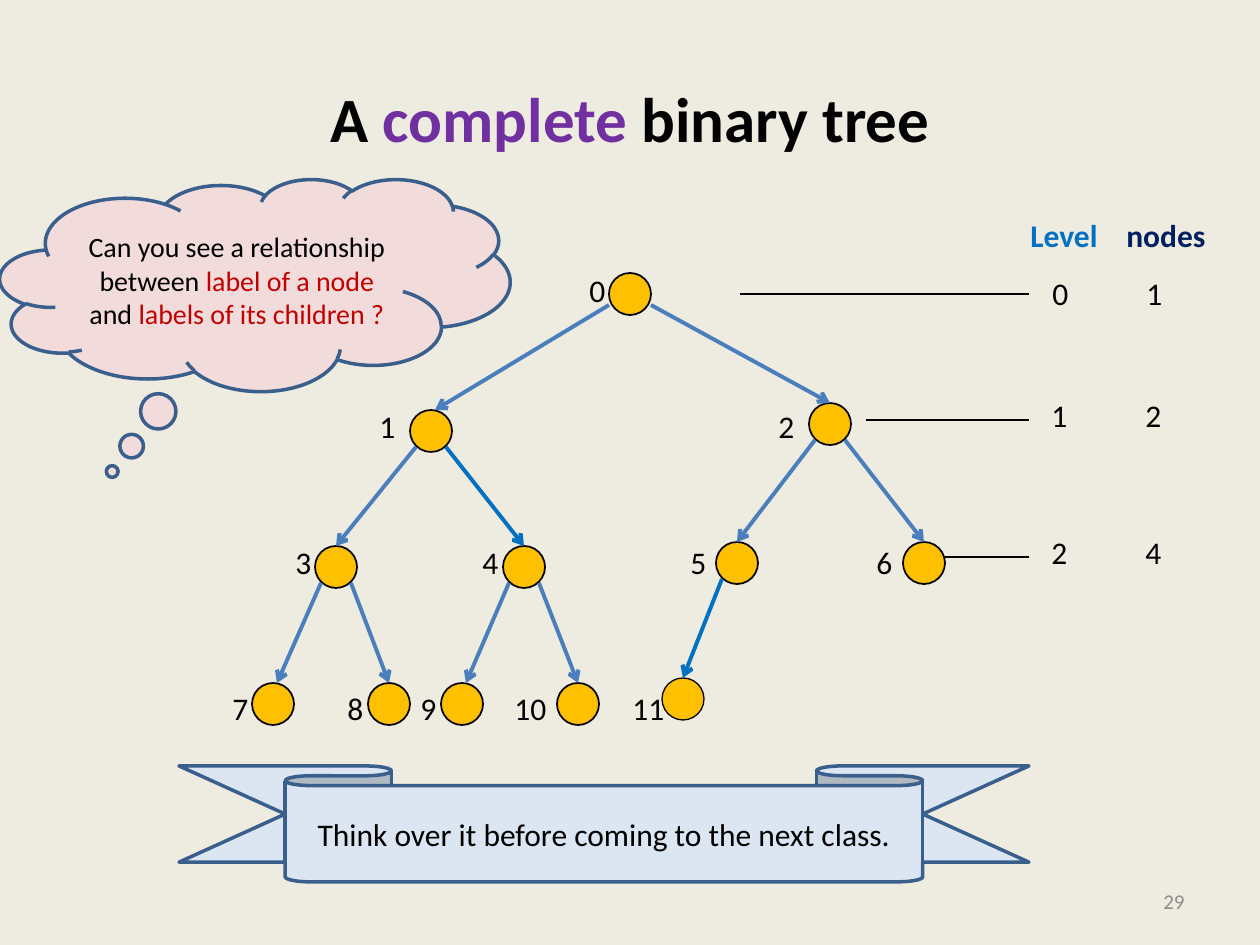
from lxml import etree
from pptx import Presentation, util as u
from pptx.dml.color import RGBColor
from pptx.enum import shapes, text
from pptx.oxml.ns import qn

PX = 914400 // 126
FONT = "Calibri"
BLACK, BLUE, EDGE, OUTLINE = "000000", "0070C0", "4B7EBC", "3A5F8C"
NODE = 42
INSET = 13

TITLE = [("A", BLACK), (" complete ", "7030A0"), ("binary tree", BLACK)]
QUESTION = [("Can you see a relationship between ", BLACK), ("label of a node ", "C00000"),
            ("and ", BLACK), ("labels of its children ?", "C00000")]
HINT = [("Think over it before coming to the next class.", BLACK)]

# Node label: left, top, outline in points
NODES = {
    0: (609, 273, 1), 1: (410, 410, 1), 2: (809, 403, 1),
    3: (315, 546, 1), 4: (503, 546, 1), 5: (716, 542, 1), 6: (903, 542, 1),
    7: (252, 683, 1), 8: (368, 683, 1), 9: (441, 683, 1), 10: (557, 683, 1),
    11: (662, 678, 0.75),
}
HIGHLIGHTED = {4, 11}           # children reached by a brighter arrow
SHIFTED = {1: 4, 7: 4, 9: 4}    # arrow tip right of the child's centre

# Rows of text: top, [(left, words, colour)], bold
ROWS = [
    (210, [(1031, "Level", BLUE), (1127, "nodes", "002060")], True),
    (268, [(1053, "0", BLACK), (1147, "1", BLACK)], False),
    (390, [(1052, "1", BLACK), (1146, "2", BLACK)], False),
    (527, [(1052, "2", BLACK), (1146, "4", BLACK)], False),
    (265, [(590, "0", BLACK)], False),
    (401, [(380, "1", BLACK), (779, "2", BLACK)], False),
    (537, [(296, "3", BLACK), (483, "4", BLACK), (691, "5", BLACK), (877, "6", BLACK)], False),
    (683, [(233, "7", BLACK), (348, "8", BLACK), (421, "9", BLACK), (515, "10", BLACK),
           (633, "11", BLACK)], False),
]
LEADERS = [(740, 294), (866, 420), (945, 557)]
LEADER_END = 1029


def px(*lengths):
    return [u.Emu(round(length * PX)) for length in lengths]


def colour(value):
    return RGBColor.from_string(value)


def write(shape, runs, size, align=text.PP_ALIGN.CENTER, bold=False, tabs=(),
          anchor=text.MSO_ANCHOR.MIDDLE):
    frame = shape.text_frame
    frame.word_wrap = True
    frame.vertical_anchor = anchor
    paragraph = frame.paragraphs[0]
    paragraph.alignment = align
    if tabs:
        tab_list = etree.SubElement(paragraph._p.get_or_add_pPr(), qn("a:tabLst"))
        for position in px(*tabs):
            etree.SubElement(tab_list, qn("a:tab"), pos=str(position), algn="l")
    paragraph.font.name, paragraph.font.size, paragraph.font.bold = FONT, u.Pt(size), bold
    for words, value in runs:
        run = paragraph.add_run()
        run.text = words
        run.font.color.rgb = colour(value)


def add_shape(slide, kind, box, fill, line, width, adjustments=()):
    shape = slide.shapes.add_shape(kind, *px(*box))
    shape.shadow.inherit = False
    shape.fill.solid()
    shape.fill.fore_color.rgb = colour(fill)
    shape.line.color.rgb = colour(line)
    shape.line.width = u.Pt(width)
    for index, value in enumerate(adjustments):
        shape.adjustments[index] = value
    return shape


def add_line(slide, start, end, value, width, arrow=False):
    line = slide.shapes.add_connector(shapes.MSO_CONNECTOR.STRAIGHT, *px(*start, *end))
    line.line.color.rgb = colour(value)
    line.line.width = u.Pt(width)
    if arrow:
        etree.SubElement(line.line._get_or_add_ln(), qn("a:tailEnd"), type="arrow")
    etree.SubElement(line._element.spPr, qn("a:effectLst"))


def add_edge(slide, child):
    """Arrow from the parent, (child - 1) // 2, to the child: odd is left, even is right."""
    parent = (child - 1) // 2
    left, top, _ = NODES[parent]
    child_left, child_top, _ = NODES[child]
    across, down = (21, 32) if parent == 0 else (15, 37)
    side = -1 if child % 2 else 1
    start = left + NODE / 2 + side * across, top + down
    end = child_left + NODE / 2 + SHIFTED.get(child, 0), child_top
    add_line(slide, start, end, BLUE if child in HIGHLIGHTED else EDGE, 2.25, arrow=True)


def add_row(slide, top, items, bold):
    first, last = items[0][0], items[-1][0]
    box = slide.shapes.add_textbox(*px(first - INSET, top, last - first + 115, 50))
    runs = [("\t" * (index > 0) + words, value)
            for index, (_, words, value) in enumerate(items)]
    write(box, runs, 18, text.PP_ALIGN.LEFT, bold,
          [left - first for left, _, _ in items[1:]], text.MSO_ANCHOR.TOP)


def main():
    presentation = Presentation()
    presentation.slide_width, presentation.slide_height = px(1260, 945)
    slide = presentation.slides.add_slide(presentation.slide_layouts[6])
    slide.background.fill.solid()
    slide.background.fill.fore_color.rgb = colour("EEECE1")

    write(slide.shapes.add_textbox(*px(63, 38, 1134, 158)), TITLE, 36, bold=True)
    write(slide.shapes.add_textbox(*px(903, 876, 294, 50)), [("29", "8C8C8C")], 12,
          text.PP_ALIGN.RIGHT)

    for label, (left, top, width) in NODES.items():
        add_shape(slide, shapes.MSO_SHAPE.OVAL, (left, top, NODE, NODE), "FFC000", BLACK, width)
        if label:
            add_edge(slide, label)
    for left, top in LEADERS:
        add_line(slide, (left, top), (LEADER_END, top), BLACK, 0.75)
    for row in ROWS:
        add_row(slide, *row)

    cloud = add_shape(slide, shapes.MSO_SHAPE.CLOUD_CALLOUT, (0, 179, 510, 212),
                      "F2DCDB", OUTLINE, 2, (-0.28, 0.88))
    write(cloud, QUESTION, 16)
    ribbon = add_shape(slide, shapes.MSO_SHAPE.DOWN_RIBBON, (179, 766, 850, 116),
                       "DCE6F2", OUTLINE, 2, (0.17, 0.75))
    write(ribbon, HINT, 18)
    presentation.save("out.pptx")


if __name__ == "__main__":
    main()
